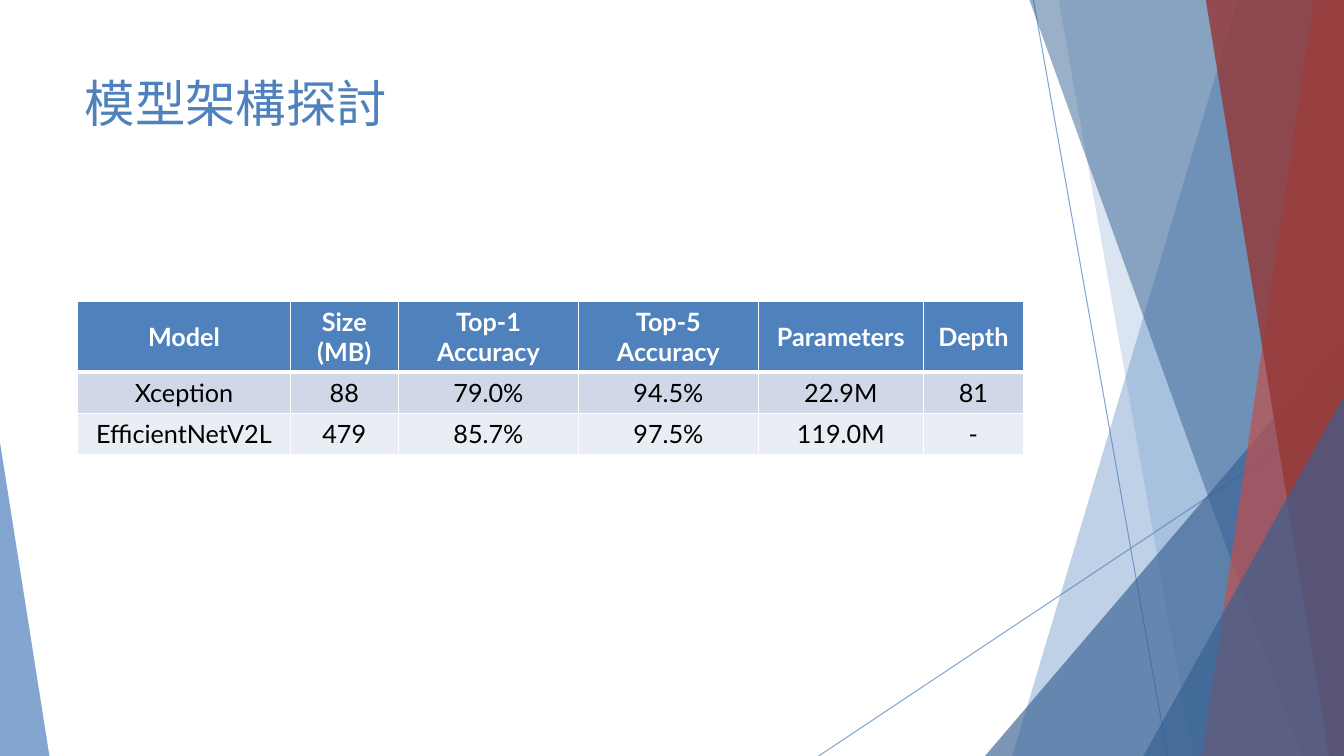
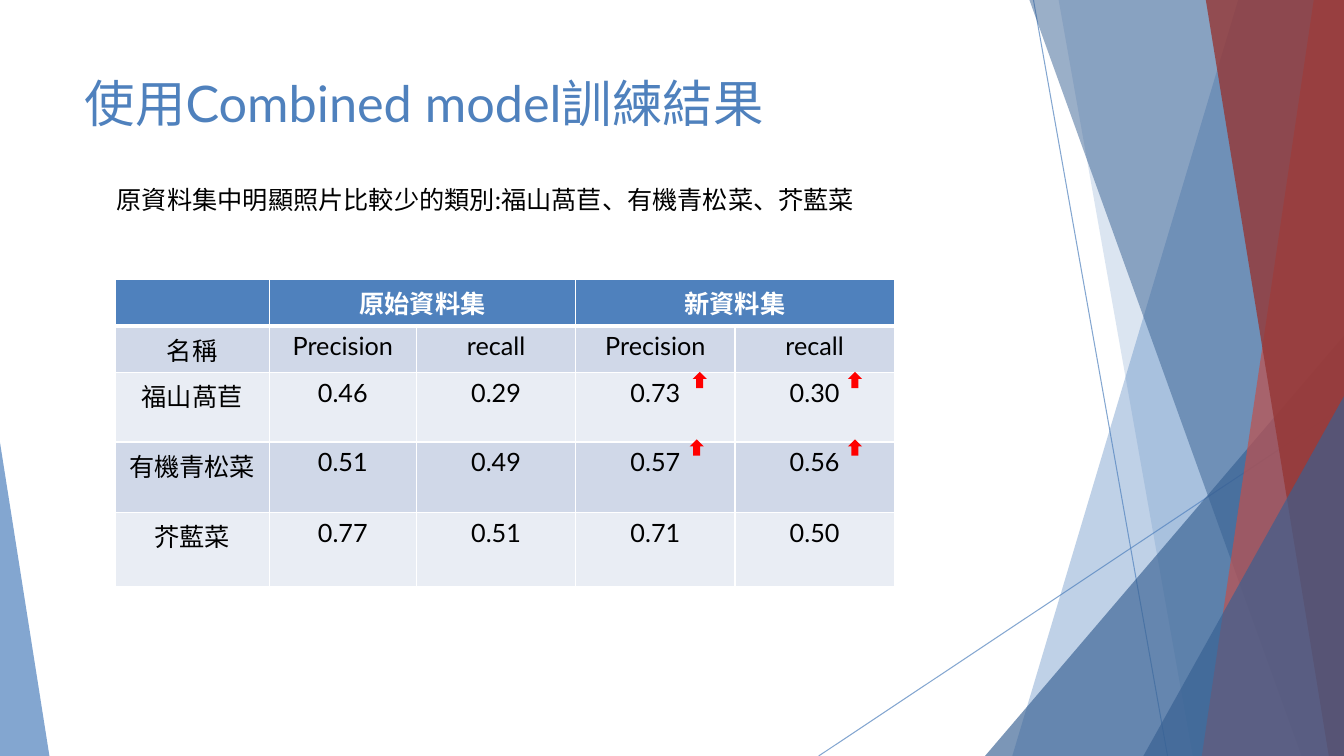
"""Build two slides on model choice and training results over a shared faceted backdrop."""
from lxml import etree
from pptx import Presentation
from pptx.dml.color import RGBColor
from pptx.enum.shapes import MSO_CONNECTOR, MSO_SHAPE
from pptx.enum.text import MSO_ANCHOR, MSO_AUTO_SIZE, PP_ALIGN
from pptx.oxml.ns import qn
from pptx.util import Inches, Pt

STRAIGHT = MSO_CONNECTOR.STRAIGHT
TRIANGLE = MSO_SHAPE.ISOSCELES_TRIANGLE
UP_ARROW = MSO_SHAPE.UP_ARROW
TOP, MIDDLE = MSO_ANCHOR.TOP, MSO_ANCHOR.MIDDLE
LEFT, CENTER = PP_ALIGN.LEFT, PP_ALIGN.CENTER

COLORS = {
    "blue": "4F81BD", "navy": "376092", "red": "C0504D", "maroon": "953735",
    "odd_row": "D0D8E8", "even_row": "E9EDF4",
    "white": "FFFFFF", "black": "000000", "arrow": "FF0000",
}
FONT = "Lato"
WIDTH, HEIGHT = 13.33, 7.5


def paint(shape, color, alpha=100):
    """Fill a shape without outline or shadow, at an opacity in percent."""
    shape.shadow.inherit = False
    shape.fill.solid()
    shape.fill.fore_color.rgb = RGBColor.from_string(COLORS[color])
    shape.line.fill.background()
    if alpha < 100:
        rgb = next(shape.element.spPr.iter(qn("a:srgbClr")))
        etree.SubElement(rgb, qn("a:alpha"), val=str(alpha * 1000))


def style_text(text_frame, size, color, alignment, bold=False):
    """Format every paragraph of a text frame."""
    text_format = {"name": FONT, "size": Pt(size), "bold": bold}
    for paragraph in text_frame.paragraphs:
        paragraph.alignment = alignment
        for name, value in text_format.items():
            setattr(paragraph.font, name, value)
        paragraph.font.color.rgb = RGBColor.from_string(COLORS[color])
        for run in paragraph.runs:
            for name, value in text_format.items():
                setattr(run.font, name, value)
            run.font.color.rgb = RGBColor.from_string(COLORS[color])


presentation = Presentation()
presentation.slide_width = Inches(WIDTH)
presentation.slide_height = Inches(HEIGHT)
layout = presentation.slide_layouts.get_by_name("Title Only")
title_box = {"left": 0.74, "top": 0.67, "width": 9.4, "height": 1.44}
for name, value in title_box.items():
    setattr(layout.placeholders[0], name, Inches(value))

SLIDES = [
    {
        "title": "模型架構探討",
        "table_at": (0.77, 2.99),
        "columns": [2.11, 1.07, 1.79, 1.78, 1.64, 0.99],
        "rows": [0.69, 0.41, 0.41],
        "anchor": MIDDLE,
        "merges": [],
        "cells": [
            ["Model", "Size (MB)", "Top-1 Accuracy", "Top-5 Accuracy", "Parameters", "Depth"],
            ["Xception", "88", "79.0%", "94.5%", "22.9M", "81"],
            ["EfficientNetV2L", "479", "85.7%", "97.5%", "119.0M", "-"],
        ],
    },
    {
        "title": "使用Combined model訓練結果",
        "table_at": (1.14, 2.77),
        "columns": [1.53, 1.46, 1.58, 1.58, 1.58],
        "rows": [0.41, 0.41, 0.69, 0.7, 0.74],
        "anchor": TOP,
        "merges": [(1, 2), (3, 4)],
        "cells": [
            ["", "原始資料集", "", "新資料集", ""],
            ["名稱", "Precision", "recall", "Precision", "recall"],
            ["福山萵苣", "0.46", "0.29", "0.73", "0.30"],
            ["有機青松菜", "0.51", "0.49", "0.57", "0.56"],
            ["芥藍菜", "0.77", "0.51", "0.71", "0.50"],
        ],
    },
]

for content in SLIDES:
    slide = presentation.slides.add_slide(layout)
    title = slide.shapes.title.text_frame
    title.text = content["title"]
    title.auto_size = MSO_AUTO_SIZE.NONE
    title.vertical_anchor = TOP
    style_text(title, 36, "blue", LEFT)

    left, top = content["table_at"]
    columns, rows = content["columns"], content["rows"]
    table = slide.shapes.add_table(
        len(rows), len(columns), Inches(left), Inches(top),
        Inches(sum(columns)), Inches(sum(rows))).table
    for column, width in zip(table.columns, columns):
        column.width = Inches(width)
    for row, height in zip(table.rows, rows):
        row.height = Inches(height)
    for first, last in content["merges"]:
        table.cell(0, first).merge(table.cell(0, last))

    for row_index, texts in enumerate(content["cells"]):
        header = row_index == 0
        fill = "blue" if header else "odd_row" if row_index % 2 else "even_row"
        borders = {"a:lnL": 1, "a:lnR": 1,
                   "a:lnT": 3 if row_index == 1 else 1, "a:lnB": 3 if header else 1}
        for column_index, text in enumerate(texts):
            cell = table.cell(row_index, column_index)
            cell.text = text
            cell.vertical_anchor = content["anchor"]
            style_text(cell.text_frame, 18, "white" if header else "black", CENTER, header)
            properties = cell._tc.get_or_add_tcPr()
            for tag, points in borders.items():
                border = etree.SubElement(properties, qn(tag), w=str(Pt(points)))
                border_fill = etree.SubElement(border, qn("a:solidFill"))
                etree.SubElement(border_fill, qn("a:srgbClr"), val=COLORS["white"])
            cell.fill.solid()
            cell.fill.fore_color.rgb = RGBColor.from_string(COLORS[fill])

caption = slide.shapes.add_textbox(
    Inches(1.06), Inches(1.78), Inches(8.28), Inches(0.4)).text_frame
caption.word_wrap = True
caption.text = "原資料集中明顯照片比較少的類別:福山萵苣、有機青松菜、芥藍菜"
style_text(caption, 18, "black", LEFT)

for left, top in [(6.87, 3.69), (8.41, 3.69), (6.84, 4.36), (8.41, 4.36)]:
    arrow = slide.shapes.add_shape(
        UP_ARROW, Inches(left), Inches(top), Inches(0.14), Inches(0.16))
    paint(arrow, "arrow")

backdrop = slide.shapes.add_group_shape()
for start_x, start_y, end_x in [(10.25, 0, 11.58), (WIDTH, 4.03, 8.12)]:
    line = backdrop.shapes.add_connector(
        STRAIGHT, Inches(start_x), Inches(start_y), Inches(end_x), Inches(HEIGHT))
    line.line.width = Pt(0.75)
    line.line.color.rgb = RGBColor.from_string(COLORS["blue"])
    rgb = next(line.element.spPr.iter(qn("a:srgbClr")))
    etree.SubElement(rgb, qn("a:alpha"), val="70000")
    etree.SubElement(line.element.spPr, qn("a:effectLst"))

FACETS = [
    ("band", (12.28, 10.04), "blue", 36),
    ("band", (10.5, 11.83), "blue", 20),
    ("triangle", (9.77, 3.33, 3.56, 1), "navy", 66),
    ("band", (10.21, 12.91), "navy", 50),
    ("band", (13.03, 11.92), "red", 70),
    ("band", (11.96, 13.18), "maroon", 80),
    ("triangle", (11.34, 3.93, 1.99, 1), "navy", 66),
    ("triangle", (0, 4.39, 0.49, 0), "blue", 70),
]
for kind, geometry, color, alpha in FACETS:
    if kind == "band":
        top_x, bottom_x = geometry
        outline = backdrop.shapes.build_freeform(Inches(top_x), 0)
        corners = [(WIDTH, 0), (WIDTH, HEIGHT), (bottom_x, HEIGHT)]
        outline.add_line_segments([(Inches(x), Inches(y)) for x, y in corners], close=True)
        facet = outline.convert_to_shape()
    else:
        left, top, width, apex = geometry
        facet = backdrop.shapes.add_shape(
            TRIANGLE, Inches(left), Inches(top), Inches(width), Inches(HEIGHT - top))
        facet.adjustments[0] = apex
    paint(facet, color, alpha)

for number, properties in enumerate(backdrop.element.iter(qn("p:cNvPr")), 20):
    properties.set("id", str(number))
presentation.slide_master.element.cSld.spTree.insert(2, backdrop.element)

presentation.save("out.pptx")
